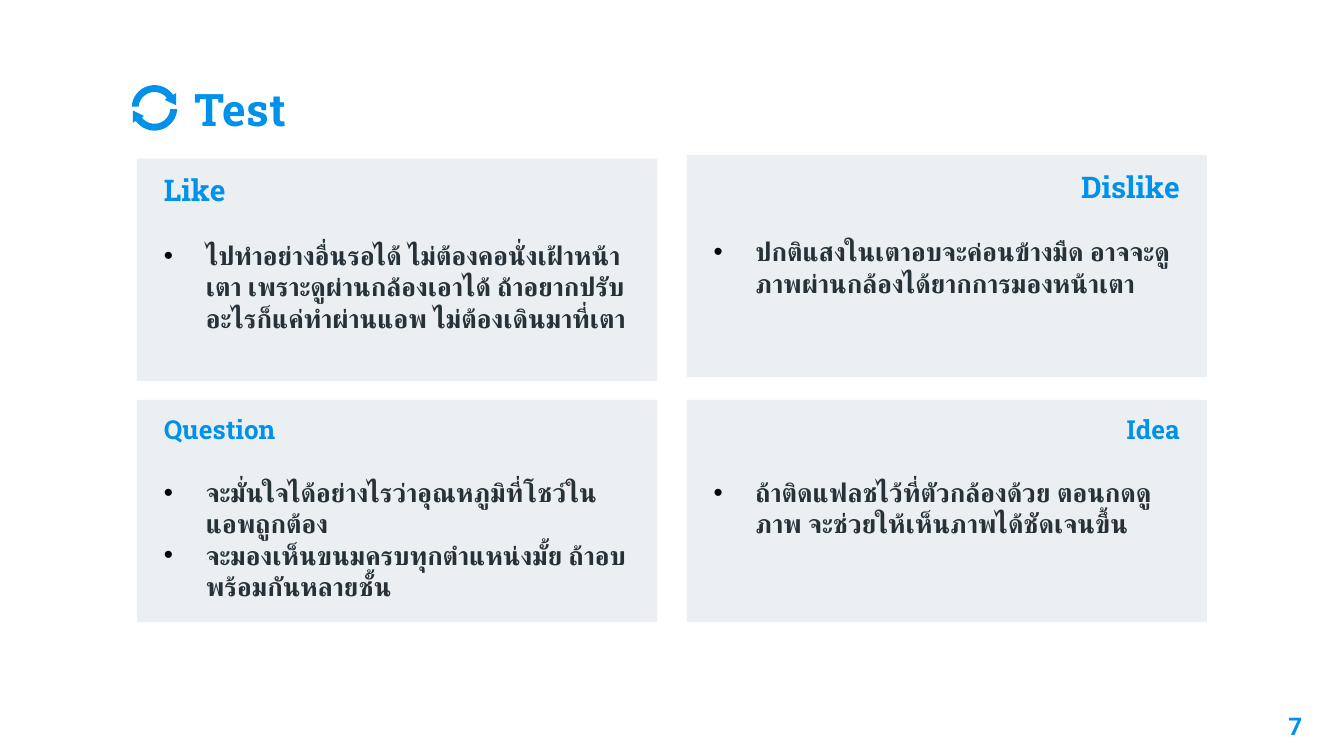
import math

from lxml import etree
from pptx import Presentation
from pptx import util as u
from pptx.dml.color import RGBColor
from pptx.enum import shapes, text
from pptx.oxml import ns

BLUE = RGBColor(0x00, 0x91, 0xEA)
DARK = RGBColor(0x26, 0x32, 0x38)
PALE = RGBColor(0xEC, 0xEF, 0xF1)
SLAB, LATO, SANS = "Roboto Slab", "Lato", "Roboto"
LEFT, RIGHT = text.PP_ALIGN.LEFT, text.PP_ALIGN.RIGHT
COLS = (2.59, 12.98)
WIDE, HIGH = 9.83, 4.2

# column, top, heading, heading size, alignment, bullets
CARDS = [
    (0, 3.0, "Like", 16, LEFT,
     ["ไปทำอย่างอื่นรอได้ ไม่ต้องคอนั่งเฝ้าหน้าเตา เพราะดูผ่านกล้องเอาได้ "
      "ถ้าอยากปรับอะไรก็แค่ทำผ่านแอพ ไม่ต้องเดินมาที่เตา"]),
    (1, 2.93, "Dislike", 16, RIGHT,
     ["ปกติแสงในเตาอบจะค่อนข้างมืด อาจจะดูภาพผ่านกล้องได้ยากการมองหน้าเตา"]),
    (0, 7.56, "Question", 14, LEFT,
     ["จะมั่นใจได้อย่างไรว่าอุณหภูมิที่โชว์ในแอพถูกต้อง",
      "จะมองเห็นขนมครบทุกตำแหน่งมั้ย ถ้าอบพร้อมกันหลายชั้น"]),
    (1, 7.56, "Idea", 14, RIGHT,
     ["ถ้าติดแฟลชไว้ที่ตัวกล้องด้วย ตอนกดดูภาพ จะช่วยให้เห็นภาพได้ชัดเจนขึ้น"]),
]


def write(para, words, size=14, font=LATO, color=DARK, align=LEFT, after=0):
    """Put one bold formatted run into a paragraph."""
    para.alignment = align
    para.space_before, para.space_after = u.Pt(0), u.Pt(after)
    run = para.add_run()
    run.text = words
    face = run.font
    face.size, face.bold, face.name = u.Pt(size), True, font
    face.color.rgb = color
    for tag in ("a:ea", "a:cs"):
        etree.SubElement(face._element, ns.qn(tag), typeface=font)


def bullet(para):
    """Give a paragraph a black dot and a hanging indent."""
    props = para._p.get_or_add_pPr()
    props.set("marL", str(u.Cm(0.79)))
    props.set("indent", str(-u.Cm(0.79)))
    tint = etree.SubElement(props, ns.qn("a:buClr"))
    etree.SubElement(tint, ns.qn("a:srgbClr"), val="000000")
    etree.SubElement(props, ns.qn("a:buFont"), typeface="Arial")
    etree.SubElement(props, ns.qn("a:buChar"), char="•")


def frame(shape, left=0.25, right=0.25, anchor=text.MSO_ANCHOR.TOP):
    """Set wrap, margins and anchor, and return the text frame."""
    box = shape.text_frame
    box.word_wrap = True
    box.auto_size = text.MSO_AUTO_SIZE.NONE
    box.margin_left, box.margin_right = u.Cm(left), u.Cm(right)
    box.margin_top = box.margin_bottom = u.Cm(0.25)
    box.vertical_anchor = anchor
    return box


def paint(shape, color):
    """Fill a shape flat, without line or shadow."""
    shape.shadow.inherit = False
    shape.fill.solid()
    shape.fill.fore_color.rgb = color
    shape.line.fill.background()


def title(slide, words):
    """Place the title to the right of the icon."""
    head = slide.shapes.title
    head.left, head.top = u.Cm(2.18), u.Cm(0.86)
    head.width, head.height = u.Cm(21.03), u.Cm(1.96)
    box = frame(head, left=1.5, anchor=text.MSO_ANCHOR.BOTTOM)
    write(box.paragraphs[0], words, size=24, font=SLAB, color=BLUE)


def cycle(slide, x, y):
    """Draw two arrows that chase each other round a centre."""
    def arc(rad, start, end):
        turns = [math.radians(start + (end - start) * i / 16) for i in range(17)]
        return [(rad * math.cos(t), rad * math.sin(t)) for t in turns]

    tip = [(-0.41, 0.28), (-0.41, 0.05), (-0.2, 0.15), (-0.23, 0.18)]
    arrow = arc(0.43, 3, 145) + tip + arc(0.3, 142, 5)
    pen = None
    for sign in (1, -1):
        pts = [(1000 * (x + sign * a), 1000 * (y + sign * b)) for a, b in arrow]
        if pen is None:
            pen = slide.shapes.build_freeform(*pts[0], scale=u.Cm(1) / 1000)
        else:
            pen.move_to(*pts[0])
        pen.add_line_segments(pts[1:], close=True)
    paint(pen.convert_to_shape(), BLUE)


def card(slide, col, top, head, size, align, items):
    """Draw a panel with a heading and a bullet list."""
    panel = slide.shapes.add_shape(
        shapes.MSO_SHAPE.RECTANGLE,
        u.Cm(COLS[col]), u.Cm(top), u.Cm(WIDE), u.Cm(HIGH))
    paint(panel, PALE)
    box = frame(panel, left=0.51, right=0.51)
    write(box.paragraphs[0], head, size=size, font=SLAB, color=BLUE,
          align=align, after=17)
    for item in items:
        para = box.add_paragraph()
        write(para, item)
        bullet(para)


def number(slide, words):
    """Write the page number in the corner."""
    note = slide.shapes.add_textbox(
        u.Cm(23.34), u.Cm(13.2), u.Cm(1.52), u.Cm(1.09))
    write(frame(note).paragraphs[0], words, size=13, font=SANS, color=BLUE,
          align=RIGHT)


def main():
    """Build and save the slide."""
    deck = Presentation()
    deck.slide_width, deck.slide_height = u.Cm(25.4), u.Cm(14.29)
    slide = deck.slides.add_slide(deck.slide_layouts[5])
    title(slide, "Test")
    number(slide, "7")
    cycle(slide, 2.92, 2.04)
    for row in CARDS:
        card(slide, *row)
    deck.save("out.pptx")


main()
